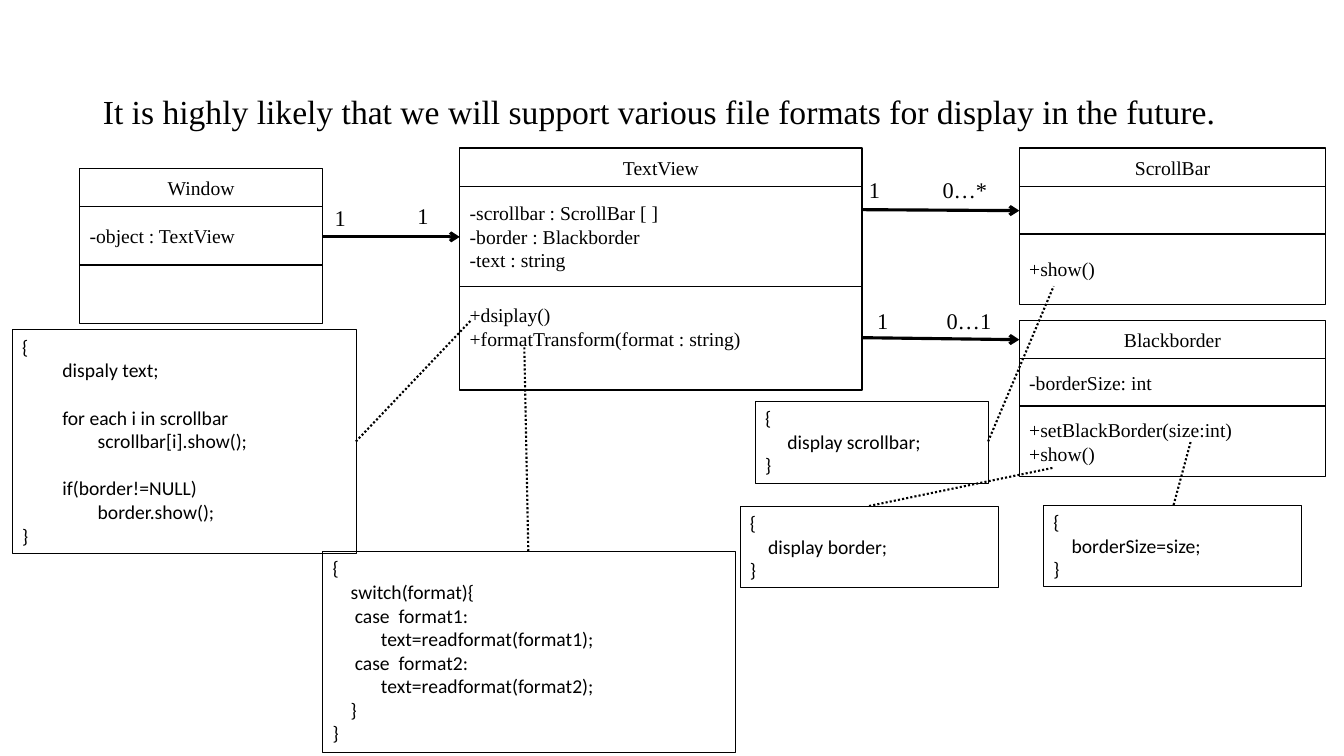
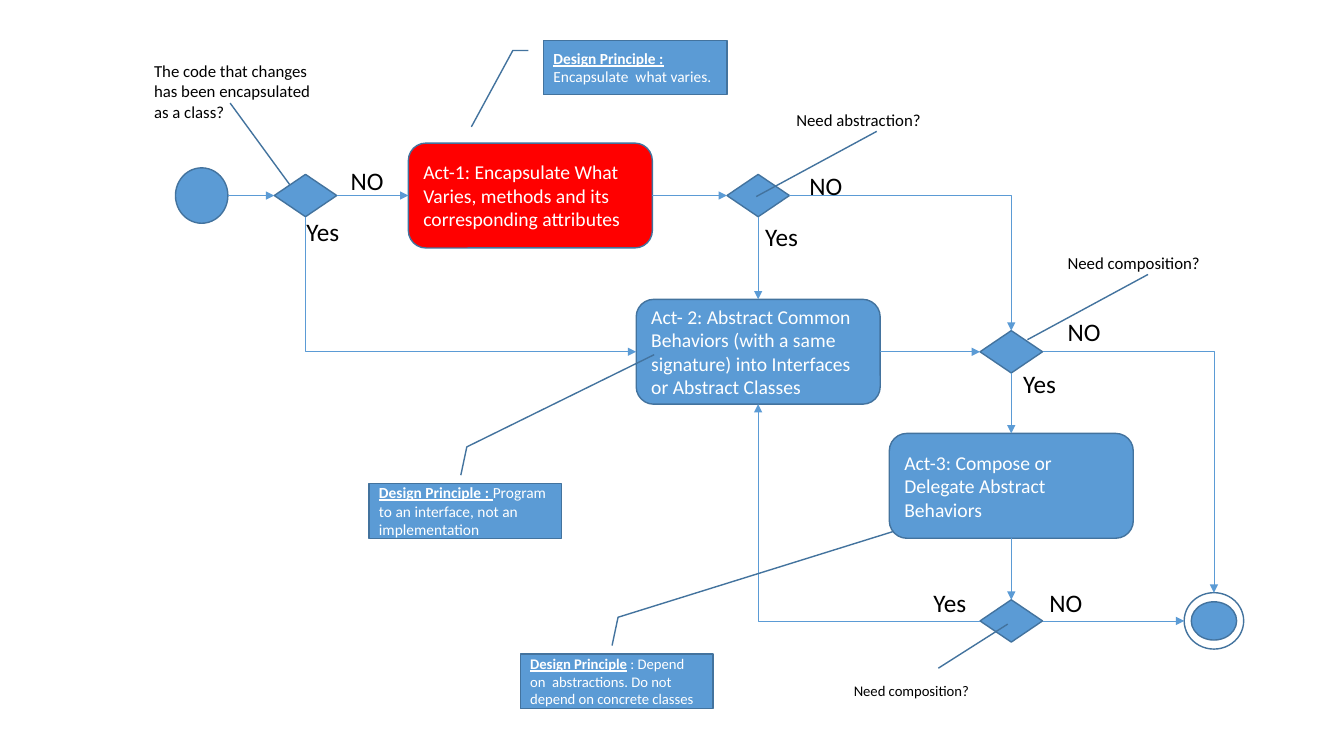
from lxml.etree import SubElement as Sub
from pptx import Presentation
from pptx.dml.color import RGBColor as RGB
from pptx.enum.dml import MSO_LINE as Dash
from pptx.enum.shapes import MSO_CONNECTOR as Conn, MSO_SHAPE as Kind
from pptx.enum.text import MSO_ANCHOR as Anchor, MSO_AUTO_SIZE as Auto, PP_ALIGN as Align
from pptx.oxml.ns import qn
from pptx.util import Inches as In, Pt

HUE = {"ink": "000000", "paper": "FFFFFF", "blue": "5B9BD5", "edge": "43739E", "red": "FF0000"}
SERIF, SANS = "Times New Roman", "Calibri"

# Slide 1: class diagram
TITLE = "It is highly likely that we will support various file formats for display in the future."
HEAD = 0.38
# left, top, width, name, then (height, lines) of each part
CLASSES = [
    (0.79, 1.67, 2.41, "Window", (0.58, ["-object : TextView"]), (0.58, [])),
    (4.56, 1.47, 3.99, "TextView",
     (0.99, ["-scrollbar : ScrollBar [ ]", "-border : Blackborder", "-text : string"]),
     (1.03, ["+dsiplay()", "+formatTransform(format : string)"])),
    (10.11, 1.47, 3.04, "ScrollBar", (0.47, []), (0.7, ["+show()"])),
    (10.11, 3.18, 3.04, "Blackborder", (0.47, ["-borderSize: int"]),
     (0.7, ["+setBlackBorder(size:int)", "+show()"])),
]
RAISED = {"+dsiplay()": 0.28}  # bottom inset of the part that starts so
LINKS = [((3.2, 2.35), (4.56, 2.35)), ((8.55, 2.08), (10.11, 2.09)), ((8.55, 3.35), (10.11, 3.37))]
COUNTS = [(4.04, 1.96, "1"), (3.22, 1.98, "1"), (8.52, 1.7, "1"), (9.25, 1.7, "0…*"),
          (8.6, 3, "1"), (9.29, 3, "0…1")]
# left, top, width, height, then lines as (indent, text) or (indent, text, points before)
SKIP = 17
NOTES = [
    (7.49, 3.98, 2.31, 0.81, [(0, "{"), (0.22, "display scrollbar;"), (0, "}")]),
    (10.35, 5.01, 2.56, 0.81, [(0, "{"), (0.18, "borderSize=size;"), (0, "}")]),
    (7.34, 5.02, 2.56, 0.81, [(0, "{"), (0.18, "display border;"), (0, "}")]),
    (3.2, 5.47, 4.09, 1.99, [
        (0, "{"), (0.18, "switch(format){"),
        (0.22, "case  format1:"), (0.48, "text=readformat(format1);"),
        (0.22, "case  format2:"), (0.48, "text=readformat(format2);"),
        (0.18, "}"), (0, "}")]),
    (0.12, 3.27, 3.41, 2.22, [
        (0, "{"), (0.4, "dispaly text;"),
        (0.4, "for each i in scrollbar", SKIP), (0.75, "scrollbar[i].show();"),
        (0.4, "if(border!=NULL)", SKIP), (0.75, "border.show();"), (0, "}")]),
]
DOTS = [((9.8, 4.38), (10.45, 2.84)), ((3.53, 4.38), (4.67, 3.18)), ((11.64, 5.01), (11.81, 4.38)),
        ((8.62, 5.02), (10.45, 4.64)), ((5.24, 5.47), (5.2, 3.44))]

# Slide 2: activity flow
COLS = [2, 3.03, 5.26, 7.52, 10.03, 12.04]
ROWS = [1.94, 3.49, 4.82, 6.16]
SORTS = {"start": (Kind.FLOWCHART_CONNECTOR, 0.52, 0.55, "blue"),
         "ring": (Kind.FLOWCHART_CONNECTOR, 0.59, 0.56, None),
         "core": (Kind.FLOWCHART_CONNECTOR, 0.45, 0.38, "blue"),
         "test": (Kind.FLOWCHART_DECISION, 0.62, 0.42, "blue"),
         "act": (Kind.FLOWCHART_ALTERNATE_PROCESS, 2.42, 1.04, "blue"),
         "hot": (Kind.FLOWCHART_ALTERNATE_PROCESS, 2.42, 1.04, "red")}
# name: sort, column, row, paragraphs
NODES = {
    "start": ("start", 0, 0, []),
    "known": ("test", 1, 0, []),
    "act1": ("hot", 2, 0, ["Act-1: Encapsulate What Varies, methods and its corresponding attributes"]),
    "split": ("test", 3, 0, []),
    "act2": ("act", 3, 1, ["Act- 2: Abstract Common",
                           "Behaviors (with a same signature) into Interfaces",
                           "or Abstract Classes"]),
    "join": ("test", 4, 1, []),
    "act3": ("act", 4, 2, ["Act-3: Compose or Delegate Abstract Behaviors"]),
    "last": ("test", 4, 3, []),
    "ring": ("ring", 5, 3, []),
    "core": ("core", 5, 3, []),
}
SIDES = {"top": (0, 0, -0.5), "left": (1, -0.5, 0), "bottom": (2, 0, 0.5), "right": (3, 0.5, 0)}
# from, side, to, side
FLOWS = [
    ("start", "right", "known", "left"), ("known", "right", "act1", "left"),
    ("act1", "right", "split", "left"), ("split", "bottom", "act2", "top"),
    ("act2", "right", "join", "left"), ("split", "right", "join", "top"),
    ("join", "bottom", "act3", "top"), ("join", "right", "ring", "top"),
    ("act3", "bottom", "last", "top"), ("last", "right", "ring", "left"),
    ("last", "left", "act2", "bottom"), ("known", "bottom", "act2", "left"),
]
ANSWERS = {"NO": [(3.38, 1.59), (7.93, 1.64), (10.49, 3.09), (10.31, 5.78)],
           "Yes": [(2.94, 2.1), (7.49, 2.15), (10.05, 3.6), (9.16, 5.78)]}
# left, top, width, size, leader, text
NEAR = (0.741, 0.482, 2.061, -0.161)
ASKS = [
    (1.43, 0.66, 1.77, 12, (0.741, 0.482, 2.402, 0.818),
     "The code that changes has been encapsulated as a class?"),
    (7.8, 0.94, 1.86, 12, NEAR, "Need abstraction?"),
    (10.49, 2.36, 1.86, 12, NEAR, "Need composition?"),
    (8.37, 6.61, 1.86, 10.5, (0.039, 0.504, -0.854, 0.874), "Need composition?"),
]
# left, top, width, size, leader, lead words, rest
RULES = [
    (5.39, 0.4, 1.82, 11, (0.188, -0.083, 0.188, -0.167, 1.59, -0.393),
     "Design Principle : ", "Encapsulate  what varies."),
    (3.66, 4.8, 1.91, 11, (-0.159, 0.477, -0.678, 0.508, -2.372, 1.481),
     "Design Principle : ", "Program to an interface, not an implementation"),
    (5.16, 6.49, 1.91, 10.5, (-0.159, 0.477, -0.678, 0.508, -2.256, 1.94),
     "Design Principle", " : Depend on  abstractions. Do not depend on concrete classes"),
]


def fit(obj, **vals):
    for key, val in vals.items():
        setattr(obj, key, val)


def ink(font, size, face, hue="ink", **more):
    fit(font, size=Pt(size), name=face, **more)
    font.color.rgb = RGB.from_string(HUE[hue])


def write(shape, paras, size, face, hue="ink", align=Align.LEFT, **frame):
    """Fill a shape; a paragraph is a text or a list of (text, font values)."""
    fit(shape.text_frame, **{"word_wrap": True, **frame})
    for i, runs in enumerate(paras):
        para = shape.text_frame.paragraphs[0] if i == 0 else shape.text_frame.add_paragraph()
        para.alignment = align
        for text, more in [(runs, {})] if isinstance(runs, str) else runs:
            run = para.add_run()
            run.text = text
            ink(run.font, size, face, hue, **more)


def box(shapes, kind, at, fill=None, edge="ink", wide=1.0):
    shape = shapes.add_shape(kind, *map(In, at))
    shape.shadow.inherit = False
    if fill:
        shape.fill.solid()
        shape.fill.fore_color.rgb = RGB.from_string(HUE[fill])
    else:
        shape.fill.background()
    shape.line.color.rgb = RGB.from_string(HUE[edge])
    shape.line.width = Pt(wide)
    return shape


def label(shapes, at, text, size, face, **frame):
    write(shapes.add_textbox(*map(In, at)), [text], size, face, **frame)


def wire(shapes, a, b, hue, wide, tip=None, end="tailEnd", dash=None, kind=Conn.STRAIGHT):
    line = shapes.add_connector(kind, *map(In, (*a, *b)))
    line.line.color.rgb = RGB.from_string(HUE[hue])
    line.line.width = Pt(wide)
    if dash:
        line.line.dash_style = dash
    prop = line.element.spPr
    if tip:
        Sub(prop.find(qn("a:ln")), qn("a:" + end), type=tip)
    Sub(prop, qn("a:effectLst"))
    return line


def draw_class(shapes, left, top, width, name, *parts):
    group = shapes.add_group_shape().shapes
    for i, (high, lines) in enumerate([(HEAD, [name]), *parts]):
        part = box(group, Kind.RECTANGLE, (left, top, width, high))
        if lines:
            write(part, lines, 14, SERIF, align=Align.LEFT if i else Align.CENTER,
                  margin_bottom=In(RAISED.get(lines[0], 0.05)))
        top += high


def draw_note(shapes, *at, lines):
    note = box(shapes, Kind.RECTANGLE, at, wide=0.25)
    write(note, [line[1] for line in lines], 14, SANS, vertical_anchor=Anchor.TOP)
    for para, (indent, _, *gap) in zip(note.text_frame.paragraphs, lines):
        para._p.get_or_add_pPr().set("marL", str(In(indent)))
        para.space_before = Pt(sum(gap))


def class_slide(deck):
    slide = deck.slides.add_slide(deck.slide_layouts[5])
    shapes, title = slide.shapes, slide.shapes.title
    fit(title, left=In(0.92), top=In(0.4), width=In(11.5), height=In(1.45))
    write(title, [TITLE], 24, SERIF, vertical_anchor=Anchor.MIDDLE, auto_size=Auto.NONE)
    title.text_frame.paragraphs[0].line_spacing = 0.9
    for spec in CLASSES:
        draw_class(shapes, *spec)
    for *at, lines in NOTES:
        draw_note(shapes, *at, lines=lines)
    for a, b in LINKS:
        wire(shapes, a, b, "ink", 2.25, "arrow")
    for a, b in DOTS:
        wire(shapes, a, b, "ink", 1.5, dash=Dash.ROUND_DOT)
    for x, y, text in COUNTS:
        label(shapes, (x, y, 0.42 if len(text) == 1 else 0.94, 0.37), text, 16, SERIF)


def site(name, side):
    """Give the point in the middle of one side of a node."""
    sort, col, row, _ = NODES[name]
    _, wide, high, _ = SORTS[sort]
    _, dx, dy = SIDES[side]
    return COLS[col] + dx * wide, ROWS[row] + dy * high


def flow(shapes, made, *ends):
    """Join two nodes; an elbow leaves sideways, so one that starts down is drawn from its end."""
    (a, out, b, into), end = ends, "tailEnd"
    p, q = site(a, out), site(b, into)
    bent = min(abs(p[0] - q[0]), abs(p[1] - q[1])) > 0.1
    if bent and out in ("top", "bottom"):
        a, out, b, into, p, q, end = b, into, a, out, q, p, "headEnd"
    line = wire(shapes, p, q, "blue", 0.5, "triangle", end, kind=Conn.ELBOW if bent else Conn.STRAIGHT)
    if bent:
        line.element.spPr.find(qn("a:prstGeom")).set("prst", "bentConnector2")
    for name, side, join in ((a, out, line.begin_connect), (b, into, line.end_connect)):
        if name not in ("start", "ring"):
            join(made[name], SIDES[side][0])


def callout(shapes, kind, at, leader, fill=None):
    shape = box(shapes, kind, at, fill, "edge")
    for i, val in enumerate(leader):
        shape.adjustments[i] = val
    return shape


def flow_slide(deck):
    shapes, made = deck.slides.add_slide(deck.slide_layouts[6]).shapes, {}
    for name, (sort, col, row, paras) in NODES.items():
        kind, wide, high, fill = SORTS[sort]
        at = (COLS[col] - wide / 2, ROWS[row] - high / 2, wide, high)
        made[name] = box(shapes, kind, at, fill, "edge")
        if paras:
            write(made[name], paras, 14, SANS, "paper")
    for ends in FLOWS:
        flow(shapes, made, *ends)
    for x, y, wide, size, leader, text in ASKS:
        ask = callout(shapes, Kind.LINE_CALLOUT_1_NO_BORDER, (x, y, wide, 0.49), leader)
        write(ask, [text], size, SANS)
    for x, y, wide, size, leader, lead, rest in RULES:
        rule = callout(shapes, Kind.LINE_CALLOUT_2, (x, y, wide, 0.54), leader, "blue")
        write(rule, [[(lead, {"bold": True, "underline": True}), (rest, {})]], size, SANS, "paper")
    for text, spots in ANSWERS.items():
        for x, y in spots:
            label(shapes, (x, y, 0.53, 0.4), text, 18, SANS, word_wrap=False)


def main():
    deck = Presentation()
    fit(deck, slide_width=In(13.33), slide_height=In(7.5))
    class_slide(deck)
    flow_slide(deck)
    deck.save("out.pptx")


if __name__ == "__main__":
    main()
